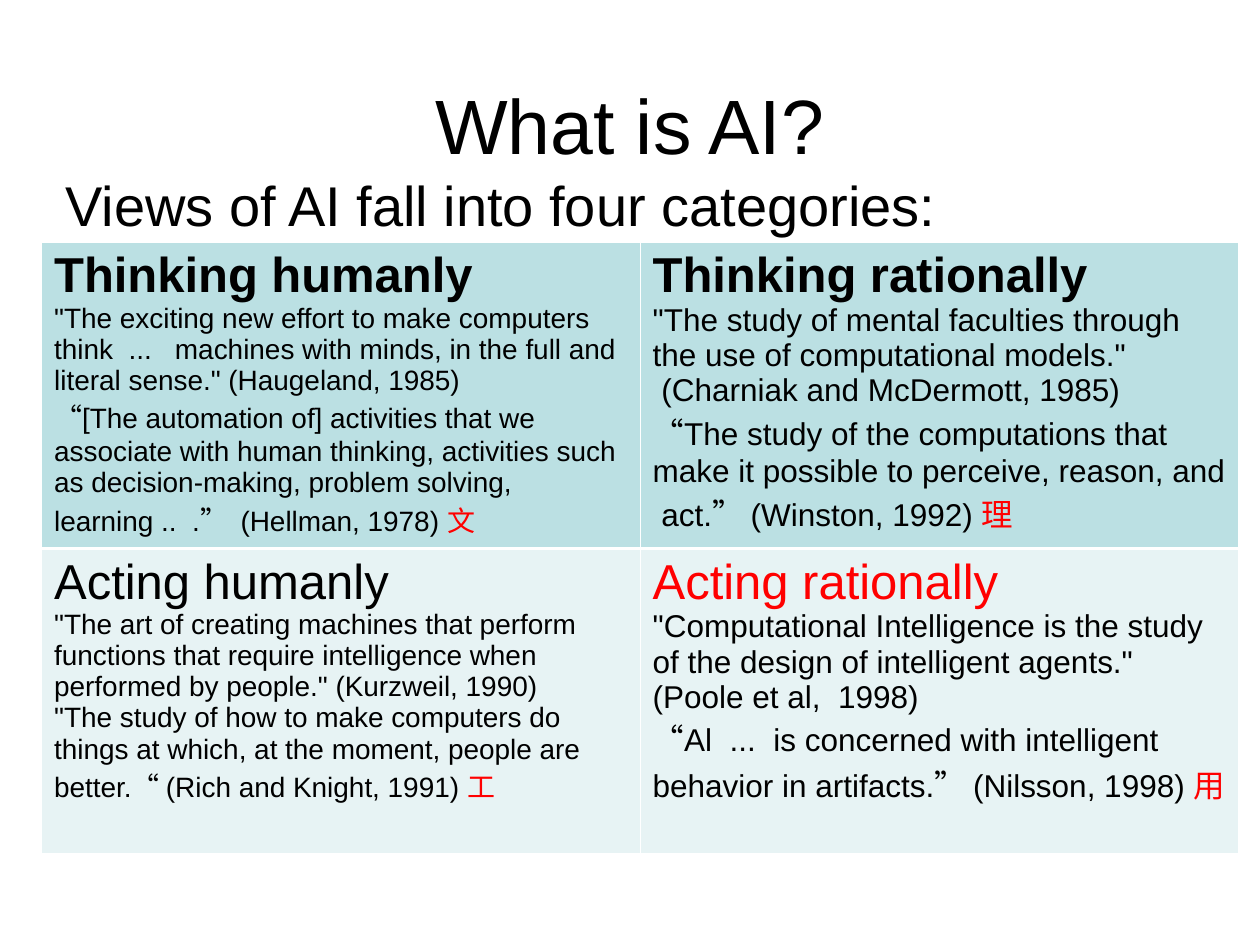
from lxml import etree
from pptx import Presentation
from pptx.dml.color import RGBColor
from pptx.enum.text import MSO_ANCHOR, PP_ALIGN
from pptx.oxml.ns import qn
from pptx.util import Inches, Pt

CENTER, LEFT = PP_ALIGN.CENTER, PP_ALIGN.LEFT
MIDDLE, TOP = MSO_ANCHOR.MIDDLE, MSO_ANCHOR.TOP

FONT = "Arial"
BLACK, RED, WHITE = "000000", "FF0000", "FFFFFF"
ROW_FILLS = ("BBE0E3", "E7F3F4")
ROW_HEIGHTS = (2.39, 2.42)
THIN, THICK = 0.45, 1.47
HEADING_SIZE = 28

# Each view: heading, heading colour, bold, text size, paragraphs, red mark
VIEWS = (
    (
        ("Thinking humanly", BLACK, True, 16, (
            '"The exciting new effort to make computers think  ...   machines '
            'with minds, in the full and literal sense." (Haugeland, 1985)',
            "“[The automation of] activities that we  associate with human "
            "thinking, activities such as decision-making, problem solving, "
            "learning ..  .”  (Hellman, 1978) ",
        ), "文"),
        ("Thinking rationally", BLACK, True, 18, (
            '"The study of mental faculties through the use of computational '
            'models."',
            " (Charniak and McDermott, 1985)",
            "“The study of the computations that make it possible to perceive, "
            "reason, and  act.” (Winston, 1992) ",
        ), "理"),
    ),
    (
        ("Acting humanly", BLACK, False, 16, (
            '"The art of creating machines that perform functions that require '
            'intelligence when performed by people." (Kurzweil, 1990)',
            '"The study of how to make computers do things at which, at the '
            'moment, people are',
            "better.“ (Rich and Knight, 1991) ",
        ), "工"),
        ("Acting rationally", RED, False, 18, (
            '"Computational Intelligence is the study of the design of '
            'intelligent agents." (Poole et al,  1998)',
            "“Al  ...  is concerned with intelligent behavior in artifacts.” "
            "(Nilsson, 1998) ",
        ), "用"),
    ),
)


def color(value):
    return RGBColor.from_string(value)


def style(paragraph, size, text_color=BLACK, bold=False):
    font = paragraph.font
    font.name, font.size, font.bold = FONT, Pt(size), bold
    font.color.rgb = color(text_color)


def add_text(slide, box, text, size, align, anchor, top_inset):
    shape = slide.shapes.add_textbox(*(Inches(length) for length in box))
    frame = shape.text_frame
    frame.word_wrap = True
    frame.vertical_anchor = anchor
    frame.margin_top = Inches(top_inset)
    paragraph = frame.paragraphs[0]
    paragraph.text = text
    paragraph.alignment = align
    style(paragraph, size)


def set_borders(cell, widths):
    properties = cell._tc.get_or_add_tcPr()
    for position, (side, width) in enumerate(widths.items()):
        line = etree.Element(qn(f"a:ln{side}"), w=str(Pt(width)))
        fill = etree.SubElement(line, qn("a:solidFill"))
        etree.SubElement(fill, qn("a:srgbClr"), val=WHITE)
        properties.insert(position, line)


def fill_view(cell, view):
    heading, heading_color, bold, size, texts, mark = view
    frame = cell.text_frame
    first = frame.paragraphs[0]
    first.text = heading
    style(first, HEADING_SIZE, heading_color, bold)
    for text in texts:
        paragraph = frame.add_paragraph()
        paragraph.text = text
        style(paragraph, size)
    # The red mark closes the last paragraph
    run = paragraph.add_run()
    run.text = mark
    run.font.color.rgb = color(RED)


def add_views_table(slide, box):
    frame = slide.shapes.add_table(
        len(VIEWS), len(VIEWS[0]), *(Inches(length) for length in box))
    table = frame.table
    for row, views in enumerate(VIEWS):
        table.rows[row].height = Inches(ROW_HEIGHTS[row])
        inner = "B" if row == 0 else "T"
        widths = {side: THICK if side == inner else THIN for side in "LRTB"}
        for column, view in enumerate(views):
            cell = table.cell(row, column)
            cell.fill.solid()
            cell.fill.fore_color.rgb = color(ROW_FILLS[row])
            set_borders(cell, widths)
            fill_view(cell, view)


def main():
    presentation = Presentation()
    presentation.slide_width, presentation.slide_height = Inches(10), Inches(7.5)
    slide = presentation.slides.add_slide(presentation.slide_layouts[6])
    # Title and lead line
    add_text(slide, (0.5, 0.3, 9, 1.25), "What is AI?", 44, CENTER, MIDDLE, 0.16)
    add_text(slide, (0.42, 1.25, 9.08, 5.45),
             "Views of AI fall into four categories:", 32, LEFT, TOP, 0.1)
    # Four views of AI
    add_views_table(slide, (0.33, 1.92, 9.5, sum(ROW_HEIGHTS)))
    presentation.save("out.pptx")


if __name__ == "__main__":
    main()
